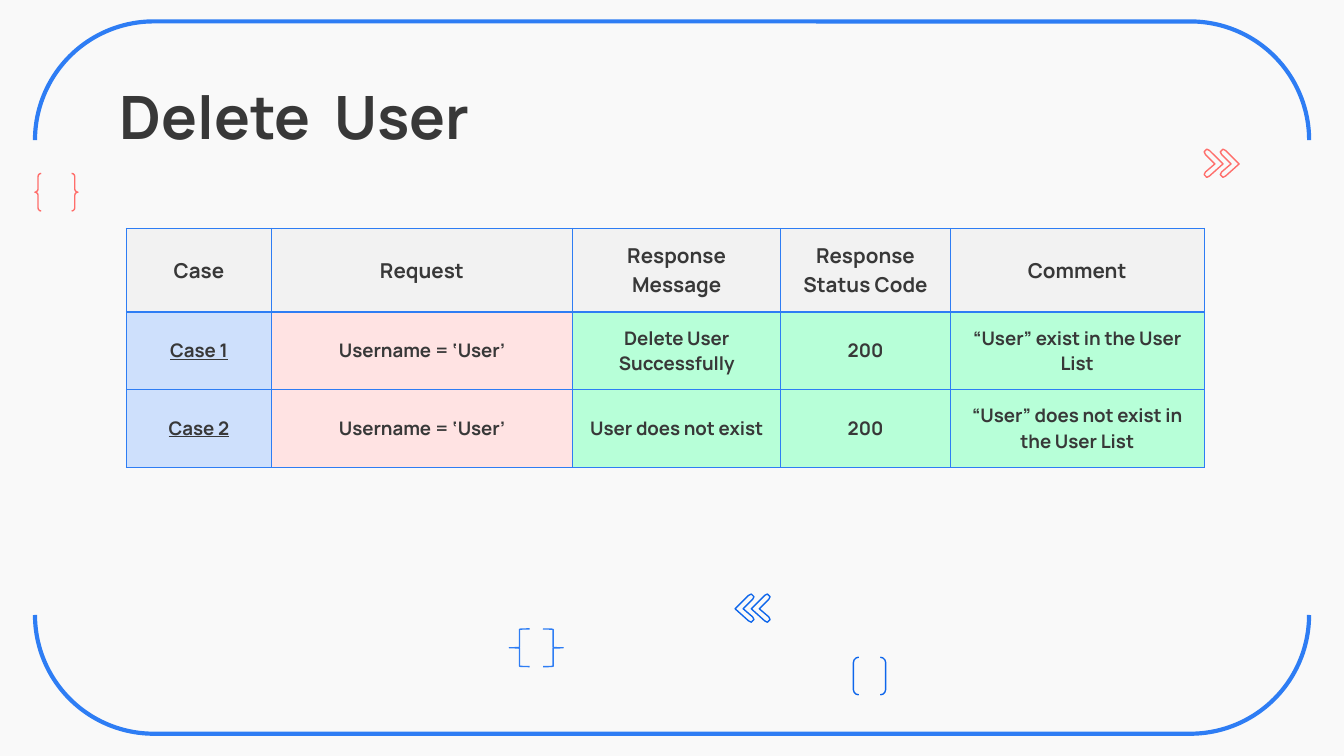
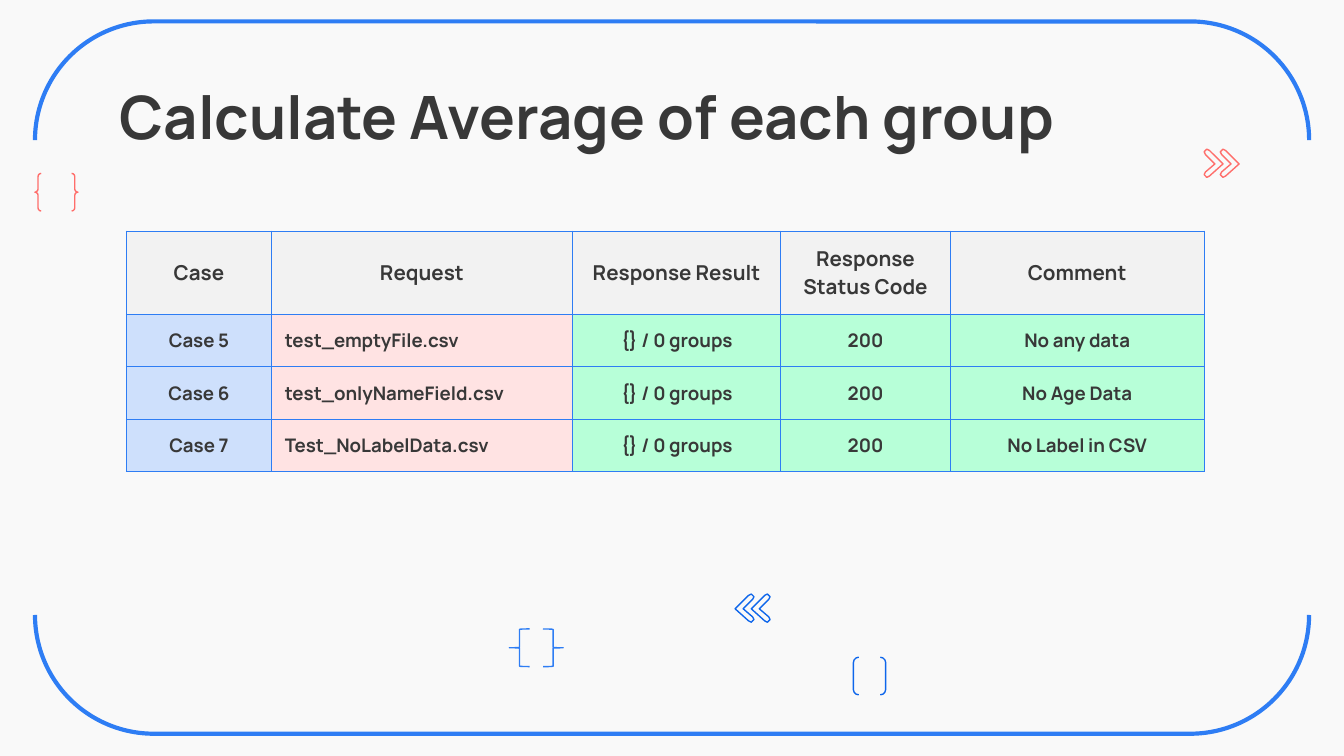
from lxml.etree import SubElement
from pptx import Presentation
from pptx.dml.color import RGBColor
from pptx.enum.shapes import MSO_SHAPE
from pptx.enum.text import MSO_ANCHOR, MSO_AUTO_SIZE, PP_ALIGN
from pptx.oxml.ns import qn
from pptx.util import Inches, Pt

PAPER, INK, BLUE, DEEP_BLUE, CORAL = "F9F9F9", "383838", "2E7DF4", "0E66EB", "FF6E6B"
HEADER_FILL = "F2F2F2"
COLUMN_FILLS = ["CEE0FC", "FFE3E3", "B7FFD8", "B7FFD8", "B7FFD8"]
COLUMN_WIDTHS = [1.08, 2.24, 1.55, 1.26, 1.89]
ROW_HEIGHT = 0.38
CHEVRON_WIDTH, CHEVRON_STEP = 0.14, 0.12
CHEVRON = [
    (0.02, 0), (0.01, 0.01), (0, 0.02), (0.01, 0.04), (0.08, 0.11), (0.01, 0.17),
    (0, 0.19), (0.01, 0.2), (0.02, 0.21), (0.04, 0.2), (0.14, 0.11), (0.04, 0.01),
]


def color(value):
    return RGBColor.from_string(value)


class TestCaseDeck:
    def __init__(self):
        self.deck = Presentation()
        self.deck.slide_width = Inches(10)
        self.deck.slide_height = Inches(10) * 9 // 16
        background = self.deck.slide_master.background.fill
        background.solid()
        background.fore_color.rgb = color(PAPER)
        self.page = None

    def add_page(self, title):
        self.page = self.deck.slides.add_slide(self.deck.slide_layouts[5])
        self.decorate()
        self.title(title)

    def style_text(self, paragraph, size):
        font = paragraph.font
        font.name = "Manrope"
        font.size = Pt(size)
        font.bold = True
        font.color.rgb = color(INK)

    def title(self, text):
        box = self.page.shapes.title
        box.left, box.top = Inches(0.79), Inches(0.49)
        box.width, box.height = Inches(8.43), Inches(0.63)
        frame = box.text_frame
        frame.text = text
        frame.word_wrap = True
        frame.auto_size = MSO_AUTO_SIZE.NONE
        frame.vertical_anchor = MSO_ANCHOR.TOP
        frame.margin_left = frame.margin_right = Inches(0.1)
        frame.margin_top = frame.margin_bottom = Inches(0.1)
        paragraph = frame.paragraphs[0]
        paragraph.alignment = PP_ALIGN.LEFT
        self.style_text(paragraph, 32)

    def outline(self, shape, line_color, weight=0.75):
        shape.shadow.inherit = False
        shape.line.color.rgb = color(line_color)
        shape.line.width = Pt(weight)

    def bracket(self, kind, left, top, width, height, line_color, weight=0.75, rotation=0):
        shape = self.page.shapes.add_shape(
            kind, Inches(left), Inches(top), Inches(width), Inches(height)
        )
        shape.rotation = rotation
        shape.fill.background()
        self.outline(shape, line_color, weight)
        return shape

    def chevrons(self, left, top, line_color, points_left=False):
        for start in (left, left + CHEVRON_STEP):
            points = [
                (Inches(start + (CHEVRON_WIDTH - x if points_left else x)), Inches(top + y))
                for x, y in CHEVRON
            ]
            builder = self.page.shapes.build_freeform(*points[0])
            builder.add_line_segments(points[1:], close=True)
            shape = builder.convert_to_shape()
            shape.fill.solid()
            shape.fill.fore_color.rgb = color(PAPER)
            self.outline(shape, line_color)

    def decorate(self):
        self.bracket(MSO_SHAPE.DOUBLE_BRACKET, 2.35, -1.93, 5.3, 9.48, BLUE, 2.25, 90)
        self.bracket(MSO_SHAPE.DOUBLE_BRACKET, 6.35, 4.89, 0.24, 0.28, DEEP_BLUE)
        self.bracket(MSO_SHAPE.DOUBLE_BRACE, 0.26, 1.29, 0.32, 0.28, CORAL)
        for left, rotation in ((3.79, 0), (4.04, 180)):
            brace = self.bracket(
                MSO_SHAPE.LEFT_BRACE, left, 4.68, 0.15, 0.28, BLUE, rotation=rotation
            )
            brace.adjustments[0] = 0.02
        self.chevrons(5.47, 4.42, DEEP_BLUE, points_left=True)
        self.chevrons(8.96, 1.11, CORAL)

    def cell_borders(self, cell):
        properties = cell._tc.get_or_add_tcPr()
        for side in ("lnL", "lnR", "lnT", "lnB"):
            line = SubElement(properties, qn(f"a:{side}"), w=str(Pt(0.75)))
            fill = SubElement(line, qn("a:solidFill"))
            SubElement(fill, qn("a:srgbClr"), val=BLUE)

    def cell(self, cell, text, fill, size, alignment, space_after, underline):
        self.cell_borders(cell)
        cell.fill.solid()
        cell.fill.fore_color.rgb = color(fill)
        cell.margin_left = cell.margin_right = Inches(0.1)
        cell.margin_top = cell.margin_bottom = Inches(0.1)
        cell.vertical_anchor = MSO_ANCHOR.MIDDLE
        cell.text = text
        paragraph = cell.text_frame.paragraphs[0]
        paragraph.alignment = alignment
        paragraph.space_after = Pt(space_after)
        self.style_text(paragraph, size)
        if underline:
            paragraph.font.underline = True

    def case_table(self, top, height, rows, request_alignment=PP_ALIGN.CENTER, underline=False):
        frame = self.page.shapes.add_table(
            len(rows), len(COLUMN_WIDTHS), Inches(0.94), Inches(top), Inches(8.02), Inches(height)
        )
        table = frame.table
        table.first_row = table.horz_banding = False
        for column, width in zip(table.columns, COLUMN_WIDTHS):
            column.width = Inches(width)
        for row_index, row in enumerate(rows):
            table.rows[row_index].height = Inches(ROW_HEIGHT)
            header = row_index == 0
            for column_index, text in enumerate(row):
                request = column_index == 1 and not header
                self.cell(
                    table.cell(row_index, column_index),
                    text,
                    HEADER_FILL if header else COLUMN_FILLS[column_index],
                    11 if header else 10,
                    request_alignment if request else PP_ALIGN.CENTER,
                    16 if column_index > 1 else 0,
                    underline and column_index == 0 and not header,
                )
        frame.height = Inches(height)

    def save(self):
        self.deck.save("out.pptx")


def header_row(response):
    return ["Case", "Request", response, "Response Status Code", "Comment"]


def main():
    cases = TestCaseDeck()

    cases.add_page("Delete  User")
    cases.case_table(1.7, 1.63, [
        header_row("Response Message"),
        ["Case 1", "Username = ‘User’", "Delete User Successfully", "200",
         "“User” exist in the User List"],
        ["Case 2", "Username = ‘User’", "User does not exist", "200",
         "“User” does not exist in the User List"],
    ], underline=True)

    cases.add_page("Calculate Average of each group")
    empty_results = [
        ("Case 5", "test_emptyFile.csv", "No any data"),
        ("Case 6", "test_onlyNameField.csv", "No Age Data"),
        ("Case 7", "Test_NoLabelData.csv", "No Label in CSV"),
    ]
    cases.case_table(1.72, 1.72, [header_row("Response Result")] + [
        [case, request, "{} / 0 groups", "200", comment]
        for case, request, comment in empty_results
    ], request_alignment=PP_ALIGN.LEFT)

    cases.save()


if __name__ == "__main__":
    main()
